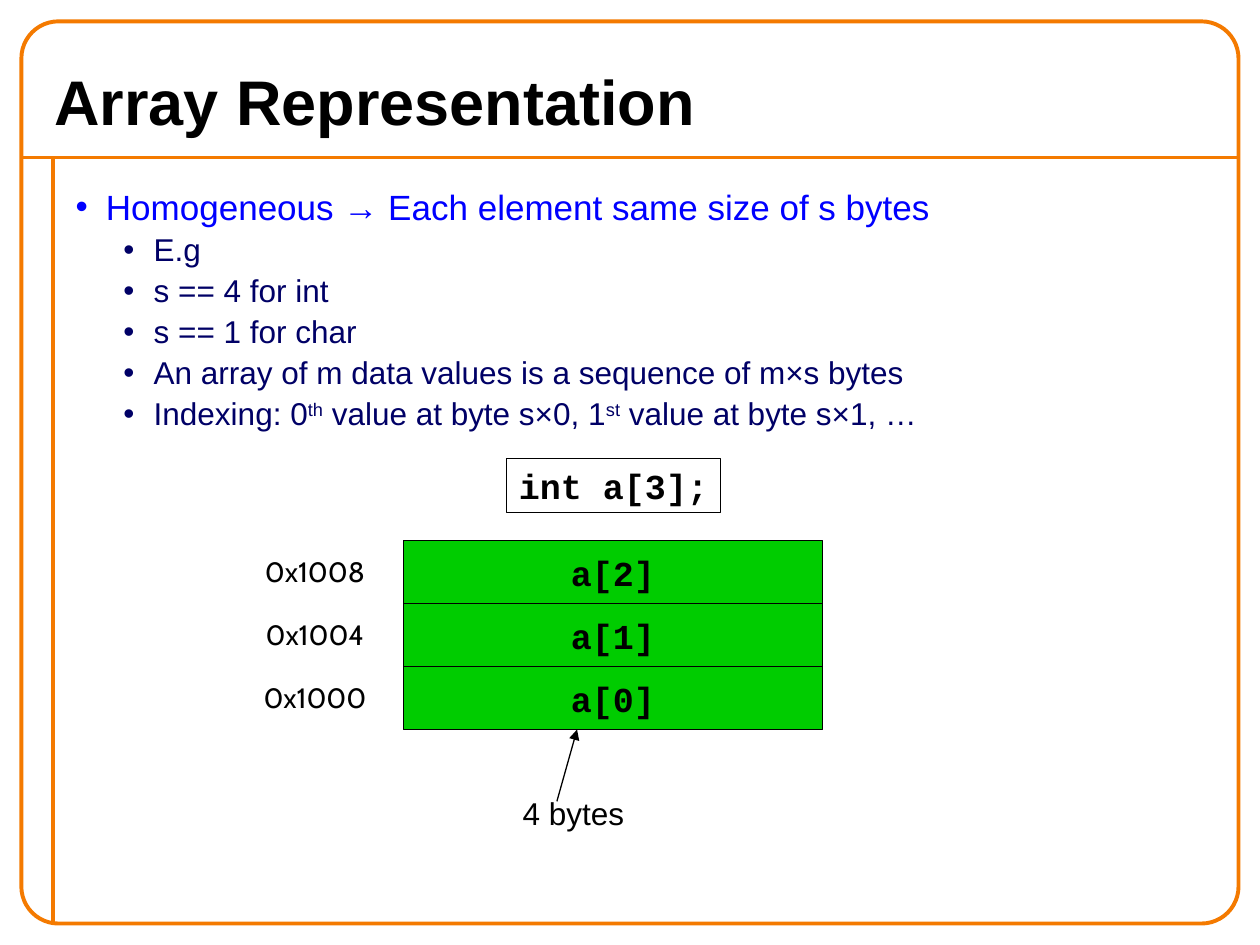
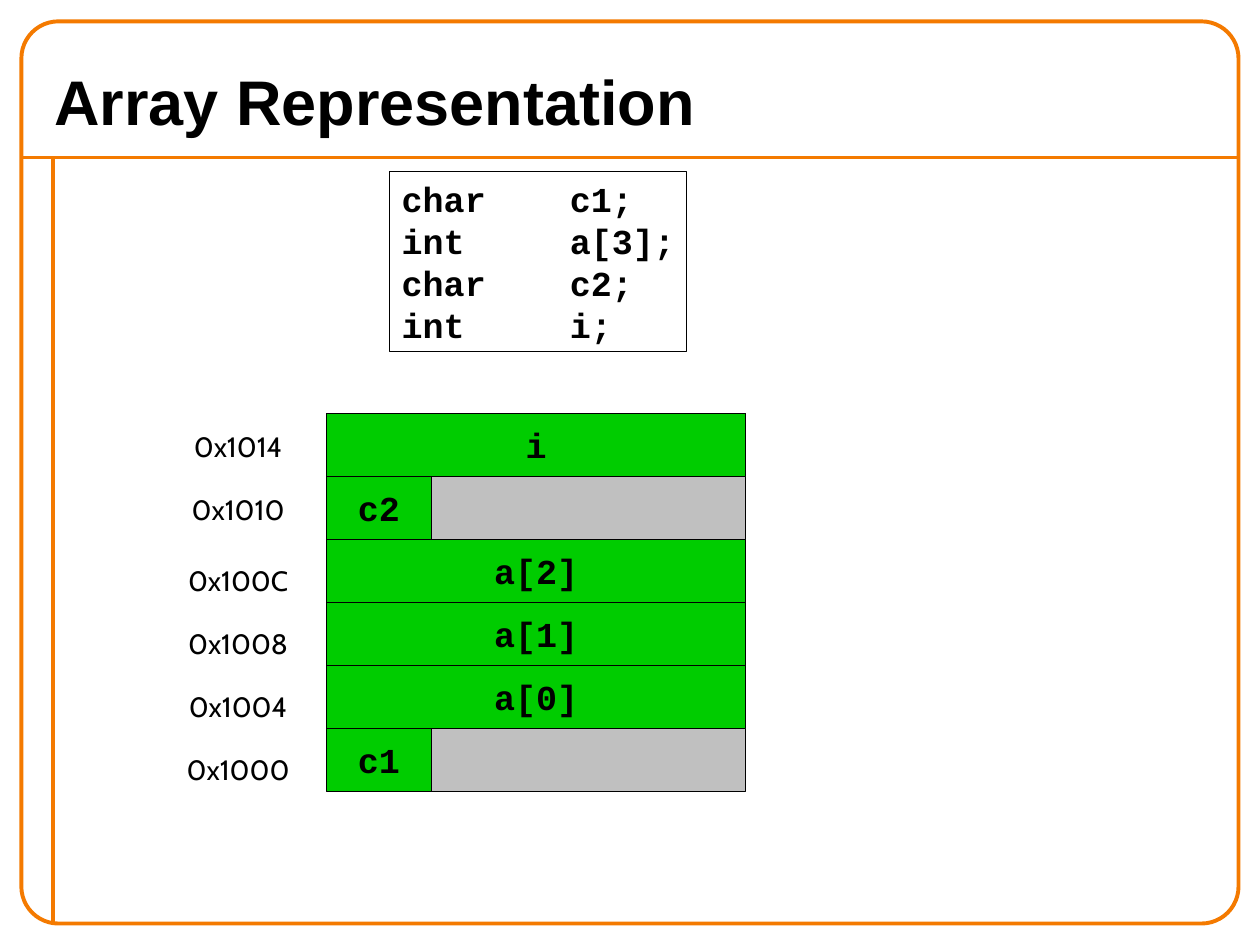
from dataclasses import dataclass

from lxml import etree
from pptx import Presentation
from pptx.dml.color import RGBColor
from pptx.enum.shapes import MSO_CONNECTOR, MSO_SHAPE
from pptx.enum.text import MSO_ANCHOR, MSO_AUTO_SIZE, PP_ALIGN
from pptx.oxml.ns import qn
from pptx.util import Inches, Pt

STRAIGHT = MSO_CONNECTOR.STRAIGHT
RECTANGLE, ROUNDED = MSO_SHAPE.RECTANGLE, MSO_SHAPE.ROUNDED_RECTANGLE
LEFT, CENTER = PP_ALIGN.LEFT, PP_ALIGN.CENTER
TOP, MIDDLE = MSO_ANCHOR.TOP, MSO_ANCHOR.MIDDLE
TITLE_AND_BODY, TITLE_ONLY = 1, 5

# Content
TITLE = "Array Representation"
BULLETS = [  # (level, text spans); a span starting with ^ is raised
    (0, ["Homogeneous → Each element same size of s bytes"]),
    (1, ["E.g"]),
    (1, ["s == 4 for int"]),
    (1, ["s == 1 for char"]),
    (1, ["An array of m data values is a sequence of m×s bytes"]),
    (1, ["Indexing: 0", "^th", " value at byte s×0, 1", "^st",
         " value at byte s×1, …"]),
]
ARRAY_CODE = ["int a[3];"]
MIXED_CODE = [f"{kind:<8}{name};" for kind, name in
              [("char", "c1"), ("int", "a[3]"), ("char", "c2"), ("int", "i")]]

# Memory words from the top down: (address, variable, bytes used, label drop)
ARRAY_WORDS = [
    ("0x1008", "a[2]", 4, 0.06),
    ("0x1004", "a[1]", 4, 0.06),
    ("0x1000", "a[0]", 4, 0.06),
]
MIXED_WORDS = [
    ("0x1014", "i", 4, 0.08),
    ("0x1010", "c2", 1, 0.08),
    ("0x100C", "a[2]", 4, 0.14),
    ("0x1008", "a[1]", 4, 0.14),
    ("0x1004", "a[0]", 4, 0.14),
    ("0x1000", "c1", 1, 0.14),
]
SIZE_NOTE = "4 bytes"


@dataclass(frozen=True)
class Theme:
    frame: str = "F47A00"
    ink: str = "000000"
    used: str = "00CC00"
    padding: str = "C0C0C0"
    bullets: tuple = ("0000FF", "000066")
    bullet_sizes: tuple = (20, 18)
    bullet_indents: tuple = (0.24, 0.62)
    bullet_gaps: tuple = (10, 1.8)
    hang: float = 0.24
    text_font: str = "Arial"
    code_font: str = "Courier New"
    address_font: str = "Cabin"
    title_size: int = 36
    code_size: int = 20
    note_size: int = 18
    address_size: int = 16
    frame_line: float = 2.25
    thin_line: float = 0.75


THEME = Theme()

# Grid, in inches
WIDTH, HEIGHT = 10, 7.5
MARGIN = 0.17
RULE_Y, RULE_X = 1.25, 0.42
WORD_WIDTH, WORD_HEIGHT, WORD_BYTES = 3.33, 0.5, 4
ADDRESS_WIDTH, ADDRESS_HEIGHT, ADDRESS_GAP = 1.04, 0.36, 0.18


def inches(*lengths):
    return [Inches(length) for length in lengths]


def color(code):
    return RGBColor.from_string(code)


def style_font(font, name, size, ink=THEME.ink, bold=False):
    font.name, font.size, font.bold = name, Pt(size), bold
    font.color.rgb = color(ink)


def style_line(line, ink=THEME.ink, width=THEME.thin_line):
    line.color.rgb = color(ink)
    line.width = Pt(width)


def place(box, left, top, width, height):
    box.left, box.top, box.width, box.height = inches(left, top, width, height)


def add_line(page, start, end, **style):
    line = page.shapes.add_connector(STRAIGHT, *inches(*start, *end))
    style_line(line.line, **style)
    etree.SubElement(line._element.spPr, qn("a:effectLst"))
    return line


def add_box(page, area, fill=None, kind=RECTANGLE, **style):
    box = page.shapes.add_shape(kind, *inches(*area))
    box.shadow.inherit = False
    if fill:
        box.fill.solid()
        box.fill.fore_color.rgb = color(fill)
    else:
        box.fill.background()
    style_line(box.line, **style)
    return box


def write(box, lines, font, size, bold=False, align=LEFT, anchor=TOP, wrap=False):
    frame = box.text_frame
    frame.word_wrap, frame.vertical_anchor = wrap, anchor
    frame.text = "\n".join(lines)
    for para in frame.paragraphs:
        para.alignment = align
        style_font(para.font, font, size, bold=bold)


def write_code(box, lines, **layout):
    write(box, lines, THEME.code_font, THEME.code_size, bold=True, **layout)


def add_page(deck, layout):
    """Add a page with the shared frame, rules and title."""
    page = deck.slides.add_slide(deck.slide_layouts[layout])
    look = {"ink": THEME.frame, "width": THEME.frame_line}
    add_line(page, (MARGIN, RULE_Y), (WIDTH - MARGIN, RULE_Y), **look)
    add_line(page, (RULE_X, RULE_Y), (RULE_X, HEIGHT - MARGIN), **look)
    area = (MARGIN, MARGIN, WIDTH - 2 * MARGIN, HEIGHT - 2 * MARGIN)
    add_box(page, area, kind=ROUNDED, **look).adjustments[0] = 0.041

    title = page.shapes.title
    place(title, 0.33, 0.42, 9.33, 0.75)
    write(title, [TITLE], THEME.text_font, THEME.title_size, bold=True,
          anchor=MIDDLE, wrap=True)
    title.text_frame.auto_size = MSO_AUTO_SIZE.NONE
    return page


def fill_bullets(body):
    place(body, 0.5, 1.42, 9, 3.42)
    frame = body.text_frame
    frame.auto_size = MSO_AUTO_SIZE.NONE
    for index, (level, spans) in enumerate(BULLETS):
        para = frame.add_paragraph() if index else frame.paragraphs[0]
        para.level = level
        para.space_before = Pt(THEME.bullet_gaps[level])
        style_font(para.font, THEME.text_font, THEME.bullet_sizes[level],
                   THEME.bullets[level])
        props = para._p.get_or_add_pPr()
        props.set("marL", str(Inches(THEME.bullet_indents[level])))
        props.set("indent", str(-Inches(THEME.hang)))
        bullet = etree.Element(qn("a:buChar"), char="•")
        props.insert(list(props).index(props.find(qn("a:defRPr"))), bullet)
        for text in spans:
            span = para.add_run()
            span.text = text.lstrip("^")
            if text.startswith("^"):
                span._r.get_or_add_rPr().set("baseline", "30000")


def add_code(page, lines, area, align=LEFT):
    write_code(add_box(page, area), lines, align=align)


def add_memory(page, words, left, top):
    """Stack memory words, with padding after short ones and addresses beside."""
    for row, (address, variable, used, drop) in enumerate(words):
        y = top + row * WORD_HEIGHT
        used_width = WORD_WIDTH * used / WORD_BYTES
        cell = add_box(page, (left, y, used_width, WORD_HEIGHT), THEME.used)
        write_code(cell, [variable], align=CENTER, anchor=MIDDLE)
        if used < WORD_BYTES:
            rest = (left + used_width, y, WORD_WIDTH - used_width, WORD_HEIGHT)
            add_box(page, rest, THEME.padding)
        label = page.shapes.add_textbox(*inches(
            left - ADDRESS_GAP - ADDRESS_WIDTH, y + drop,
            ADDRESS_WIDTH, ADDRESS_HEIGHT))
        write(label, [address], THEME.address_font, THEME.address_size,
              align=CENTER)


def build_array_page(deck):
    page = add_page(deck, TITLE_AND_BODY)
    fill_bullets(page.placeholders[1])
    add_memory(page, ARRAY_WORDS, 3.2, 4.29)
    add_code(page, ARRAY_CODE, (4.02, 3.64, 1.7, 0.43), CENTER)

    # Note pointing at the lowest word
    note = page.shapes.add_textbox(*inches(4.05, 6.25, 2.42, 0.4))
    write(note, [SIZE_NOTE], THEME.text_font, THEME.note_size, wrap=True)
    arrow = add_line(page, (4.42, 6.36), (4.58, 5.79))
    etree.SubElement(arrow.line._get_or_add_ln(), qn("a:tailEnd"), type="triangle")


def build_mixed_page(deck):
    page = add_page(deck, TITLE_ONLY)
    add_code(page, MIXED_CODE, (3.09, 1.36, 2.36, 1.43))
    add_memory(page, MIXED_WORDS, 2.59, 3.28)


def main():
    deck = Presentation()
    deck.slide_width, deck.slide_height = inches(WIDTH, HEIGHT)
    build_array_page(deck)
    build_mixed_page(deck)
    deck.save("out.pptx")


if __name__ == "__main__":
    main()
